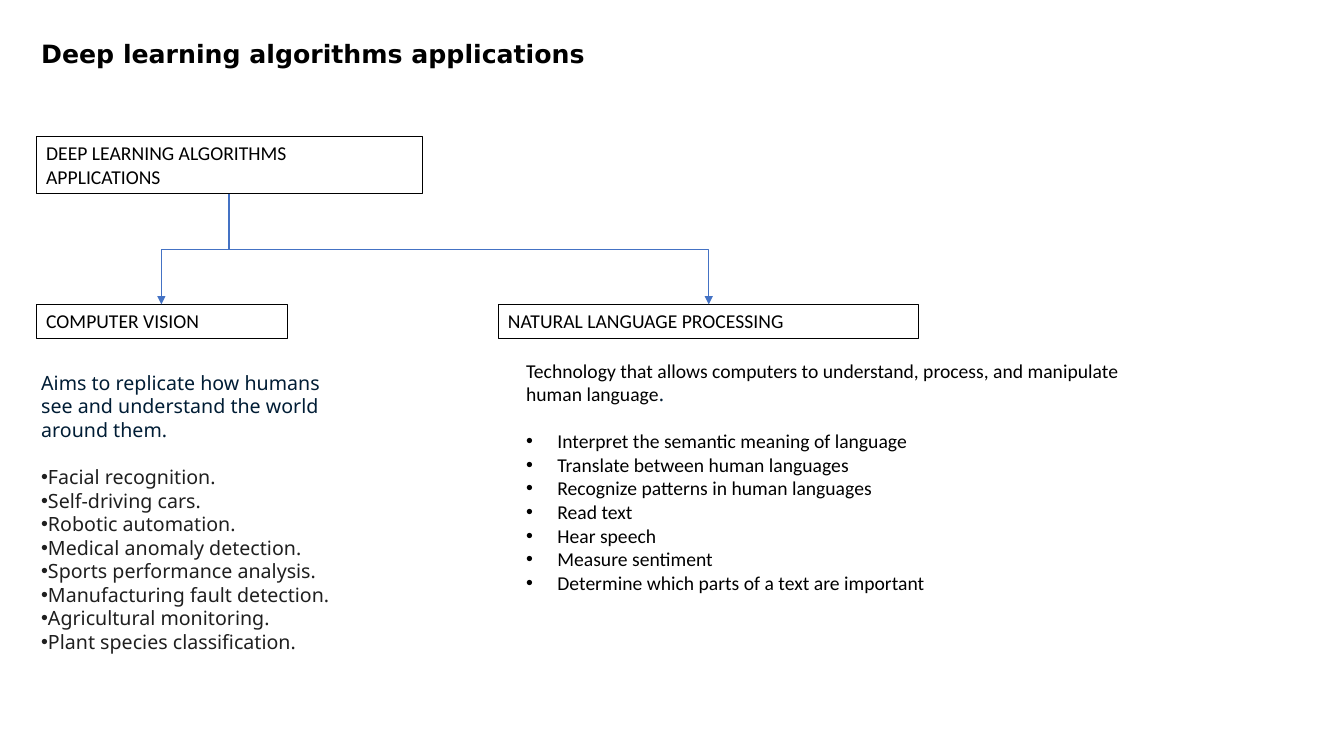
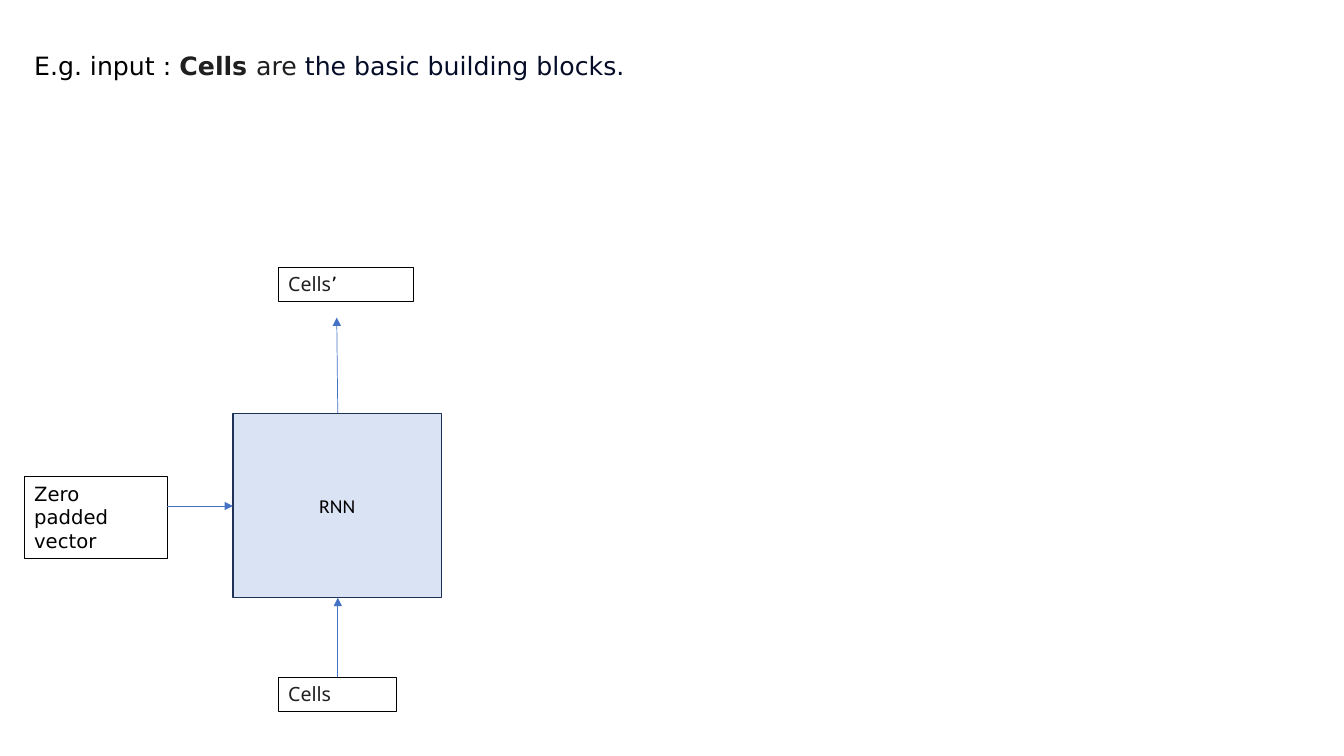
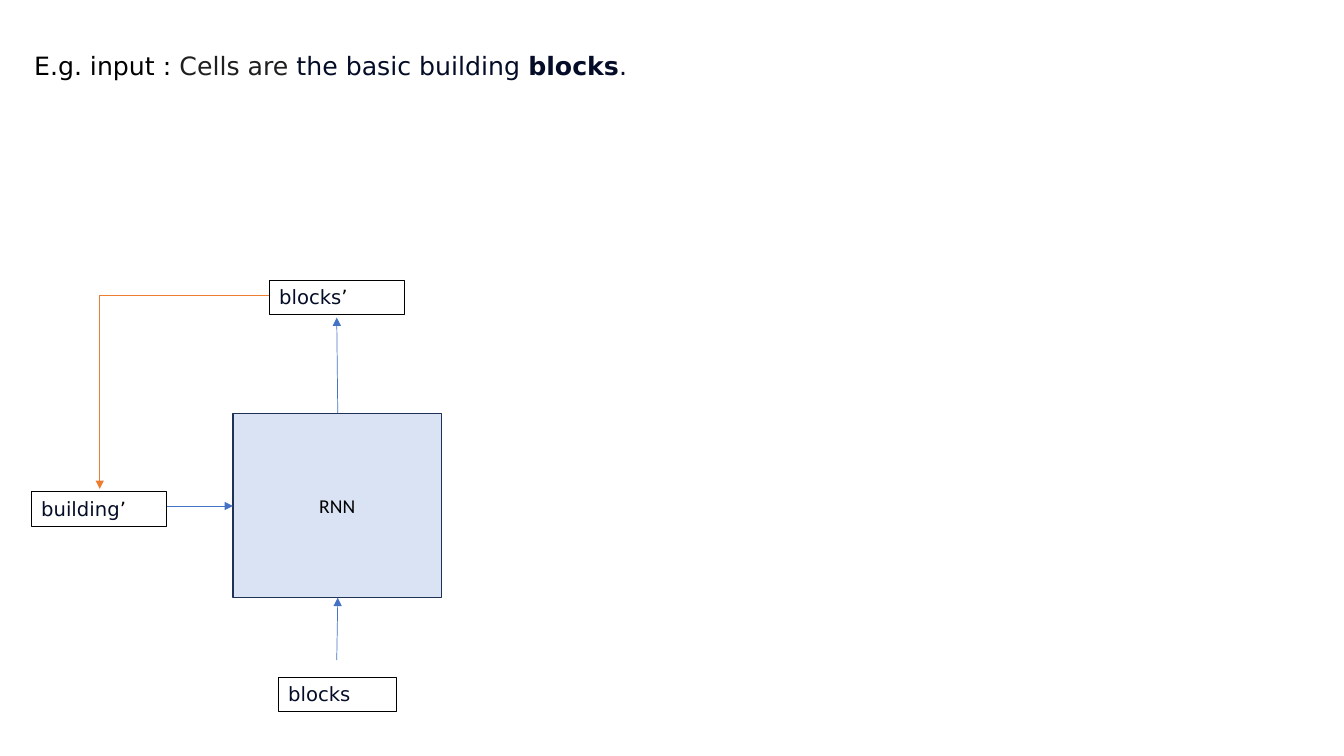
from pptx import Presentation
from pptx.dml.color import RGBColor
from pptx.enum.shapes import MSO_CONNECTOR, MSO_SHAPE
from pptx.enum.text import MSO_ANCHOR, PP_ALIGN
from pptx.oxml.ns import qn
from pptx.oxml.xmlchemy import OxmlElement
from pptx.util import Inches, Pt

BLACK, CHARCOAL, NAVY, INK = "000000", "1F1F1F", "001D35", "040C28"
BLUE, ORANGE, PALE_BLUE, DARK_BLUE = "4472C4", "ED7D31", "DAE3F3", "1E3256"
CALIBRI, DEJAVU, NOTO = "Calibri", "DejaVu Sans", "Noto Sans"
BODY, TITLE = 14, 18
LEADING = 1.2
rgb = RGBColor.from_string


def add_text(slide, place, paragraphs, size=BODY, border=None, border_width=0.75):
    """Add a text area; each paragraph is a list of (text, font, colour, bold) runs."""
    area = [Inches(length) for length in place]
    if border:
        shape = slide.shapes.add_shape(MSO_SHAPE.RECTANGLE, *area)
        shape.shadow.inherit = False
        shape.fill.background()
        shape.line.color.rgb = rgb(border)
        shape.line.width = Pt(border_width)
    else:
        shape = slide.shapes.add_textbox(*area)
    frame = shape.text_frame
    frame.word_wrap = True
    frame.vertical_anchor = MSO_ANCHOR.TOP
    for number, pieces in enumerate(paragraphs):
        paragraph = frame.add_paragraph() if number else frame.paragraphs[0]
        paragraph.alignment = PP_ALIGN.LEFT
        paragraph.line_spacing = Pt(size * LEADING)
        for text, font, colour, bold in pieces:
            run = paragraph.add_run()
            run.text = text
            run.font.name = font
            run.font.size = Pt(size)
            run.font.bold = bold
            run.font.color.rgb = rgb(colour)
    return shape


def add_arrow(slide, start, end, colour=BLUE, kind=MSO_CONNECTOR.STRAIGHT):
    ends = [Inches(length) for length in (*start, *end)]
    arrow = slide.shapes.add_connector(kind, *ends)
    arrow.line.color.rgb = rgb(colour)
    arrow.line.width = Pt(0.5)
    head = OxmlElement("a:tailEnd")
    head.set("type", "triangle")
    arrow.line._get_or_add_ln().append(head)
    arrow._element.spPr.append(OxmlElement("a:effectLst"))
    return arrow


prs = Presentation()
prs.slide_width, prs.slide_height = Inches(13.33), Inches(7.5)
blank = prs.slide_layouts[6]

# Applications
slide = prs.slides.add_slide(blank)
add_text(slide, (0.31, 0.33, 6.67, 0.4),
         [[("Deep learning algorithms applications", DEJAVU, BLACK, True)]], TITLE)

for place, lines in [
    ((0.36, 1.35, 3.83, 0.57), ["DEEP LEARNING ALGORITHMS", "APPLICATIONS"]),
    ((0.36, 3.02, 2.49, 0.34), ["COMPUTER VISION"]),
    ((4.94, 3.02, 4.17, 0.34), ["NATURAL LANGUAGE PROCESSING"]),
]:
    add_text(slide, place, [[(line, CALIBRI, BLACK, False)] for line in lines],
             border=BLACK)

# An elbow that leaves downwards is a sideways one turned by a quarter
root_x, root_y, branch_y = 2.27, 1.92, 3.02
for branch_x in (1.6, 7.03):
    side = 1 if branch_x > root_x else -1
    middle_x, middle_y = (root_x + branch_x) / 2, (root_y + branch_y) / 2
    half_drop, half_span = (branch_y - root_y) / 2, abs(branch_x - root_x) / 2
    elbow = add_arrow(slide,
                      (middle_x + side * half_drop, middle_y - half_span),
                      (middle_x - side * half_drop, middle_y + half_span),
                      kind=MSO_CONNECTOR.ELBOW)
    quarter_turns = 3 if side > 0 else 1
    elbow._element.spPr.find(qn("a:xfrm")).set("rot", str(quarter_turns * 90 * 60000))

vision_uses = ["Facial recognition.", "Self-driving cars.", "Robotic automation.",
               "Medical anomaly detection.", "Sports performance analysis.",
               "Manufacturing fault detection.", "Agricultural monitoring.",
               "Plant species classification."]
language_uses = ["Interpret the semantic meaning of language",
                 "Translate between human languages",
                 "Recognize patterns in human languages", "Read text", "Hear speech",
                 "Measure sentiment", "Determine which parts of a text are important"]
vision_intro = [("Aims to replicate how humans see and understand the world around them.",
                 NOTO, NAVY, False)]
language_intro = [("Technology that allows computers to understand, process, and "
                   "manipulate human language", CALIBRI, BLACK, False),
                  (".", NOTO, NAVY, False)]

for place, intro, uses, font, colour, indent in [
    ((0.31, 3.63, 3.25, 3.16), vision_intro, vision_uses, NOTO, CHARCOAL, 0),
    ((5.12, 3.51, 6.26, 3.4), language_intro, language_uses, CALIBRI, BLACK, 0.31),
]:
    items = [[(use, font, colour, False)] for use in uses]
    branch = add_text(slide, place, [intro, *items])
    bulleted = branch.text_frame.paragraphs[1:]
    bulleted[0].space_before = Pt(BODY * LEADING)
    for paragraph in bulleted:
        properties = paragraph._p.get_or_add_pPr()
        properties.set("marL", str(Inches(indent)))
        properties.set("indent", str(-Inches(indent)))
        bullet_font = OxmlElement("a:buFont")
        bullet_font.set("typeface", "Arial")
        bullet = OxmlElement("a:buChar")
        bullet.set("char", "•")
        properties.extend([bullet_font, bullet])

# First and last step of the recurrent network
first_sentence = [("E.g. input : ", DEJAVU, BLACK, False),
                  ("Cells ", DEJAVU, CHARCOAL, True),
                  ("are ", DEJAVU, CHARCOAL, False),
                  ("the basic building blocks.", DEJAVU, INK, False)]
last_sentence = [("E.g. input : ", DEJAVU, BLACK, False),
                 ("Cells are ", DEJAVU, CHARCOAL, False),
                 ("the basic building ", DEJAVU, INK, False),
                 ("blocks", DEJAVU, INK, True),
                 (".", DEJAVU, INK, False)]
prime = ("’", DEJAVU, BLACK, False)
cells = ("Cells", NOTO, CHARCOAL, False)
blocks = ("blocks", DEJAVU, INK, False)
building = ("building", DEJAVU, INK, False)
zero_vector = ("Zero padded vector", DEJAVU, BLACK, False)

for sentence, word, output_at, state, state_at, input_start in [
    (first_sentence, cells, (2.76, 2.65), [zero_vector], (0.24, 4.73, 1.42, 0.81),
     (3.35, 6.72)),
    (last_sentence, blocks, (2.67, 2.78), [building, prime], (0.31, 4.88, 1.34, 0.34),
     (3.34, 6.55)),
]:
    slide = prs.slides.add_slide(blank)
    add_text(slide, (0.24, 0.45, 10.12, 0.4), [sentence], TITLE)
    network = add_text(slide, (2.31, 4.1, 2.07, 1.83),
                       [[("RNN", CALIBRI, BLACK, False)]],
                       border=DARK_BLUE, border_width=1)
    network.fill.solid()
    network.fill.fore_color.rgb = rgb(PALE_BLUE)
    network.text_frame.vertical_anchor = MSO_ANCHOR.MIDDLE
    network.text_frame.paragraphs[0].alignment = PP_ALIGN.CENTER
    for place, pieces in [((2.76, 6.72, 1.17, 0.34), [word]),
                          ((*output_at, 1.34, 0.34), [word, prime]),
                          (state_at, state)]:
        add_text(slide, place, [pieces], border=BLACK)
    for start, end in [((3.35, 4.1), (3.34, 3.15)),
                       (input_start, (3.35, 5.93)),
                       ((1.66, 5.02), (2.31, 5.02))]:
        add_arrow(slide, start, end)

# Feedback from the output to the state on the last step
feedback = add_arrow(slide, (2.67, 2.93), (0.99, 4.85), ORANGE, MSO_CONNECTOR.ELBOW)
feedback._element.spPr.find(qn("a:prstGeom")).set("prst", "bentConnector2")

prs.save("out.pptx")
